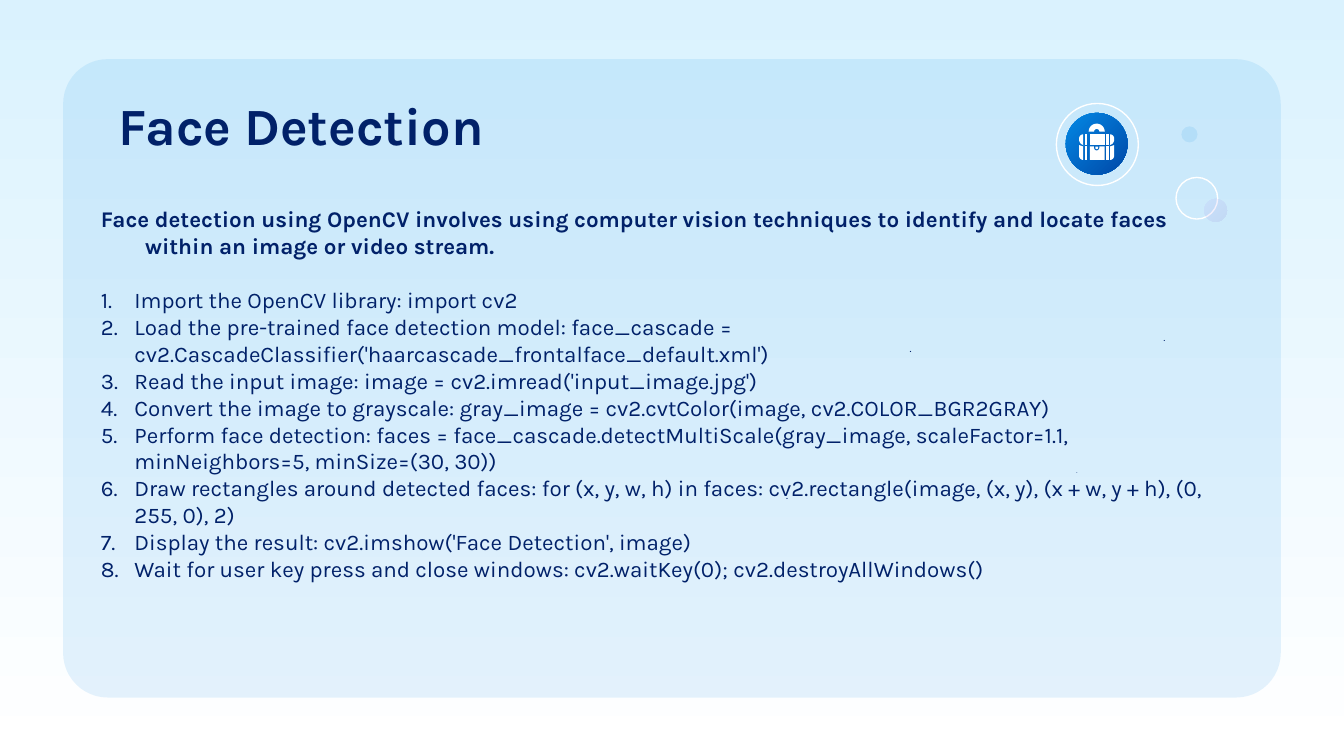
from math import cos, pi, sin

from lxml import etree
from pptx import Presentation, util as u
from pptx.dml import color
from pptx.enum import shapes, text
from pptx.oxml import ns

NAVY, BLUE, WHITE = "012169", "0388E5", "FFFFFF"
MID = 8.16
STEPS = [
    "Import the OpenCV library: import cv2",
    "Load the pre-trained face detection model: face_cascade = cv2.CascadeClassifier('haarcascade_frontalface_default.xml')",
    "Read the input image: image = cv2.imread('input_image.jpg')",
    "Convert the image to grayscale: gray_image = cv2.cvtColor(image, cv2.COLOR_BGR2GRAY)",
    "Perform face detection: faces = face_cascade.detectMultiScale(gray_image, scaleFactor=1.1, minNeighbors=5, minSize=(30, 30))",
    "Draw rectangles around detected faces: for (x, y, w, h) in faces: cv2.rectangle(image, (x, y), (x + w, y + h), (0, 255, 0), 2)",
    "Display the result: cv2.imshow('Face Detection', image)",
    "Wait for user key press and close windows: cv2.waitKey(0); cv2.destroyAllWindows()",
]
DOTS = [(7.91, 3.45, 0.48, 0.17, 3, 0, True), (6.5, 2.44, 2.72, 1.59, 6, 0.17, False),
        (5.58, 3.53, 0.78, 0.49, 6, 0.17, False), (8.39, 2.5, 0.83, 0.1, 4, 0.17, True)]


def rgb(code):
    return color.RGBColor.from_string(code)


def node(parent, tag, **attrs):
    return etree.SubElement(parent, ns.qn(tag), **attrs)


def write(para, words, size=12, bold=False, left=0, hang=0, mark="a:buNone", after=0):
    run = para.add_run()
    run.text = words
    font = run.font
    font.name, font.size, font.bold = "Karla", u.Pt(size), bold
    font.color.rgb = rgb(NAVY)
    para.alignment = text.PP_ALIGN.LEFT
    para.space_before, para.space_after = u.Pt(0), u.Pt(after)
    props = para._p.get_or_add_pPr()
    props.set("marL", str(u.Inches(left)))
    props.set("indent", str(u.Inches(hang)))
    if mark == "a:buAutoNum":
        node(props, "a:buFontTx")
        node(props, mark, type="arabicPeriod")
    else:
        node(props, mark)


def arc(x, y, rad, start, end, count=12):
    turns = [start + (end - start) * i / count for i in range(count + 1)]
    return [(x + rad * cos(t), y + rad * sin(t)) for t in turns]


def rect(x, y, w, h):
    return [(x, y), (x + w, y), (x + w, y + h), (x, y + h)]


class Deck:
    def __init__(self, wide, high):
        self.prs = Presentation()
        self.prs.slide_width, self.prs.slide_height = u.Inches(wide), u.Inches(high)
        self.slide = self.prs.slides.add_slide(self.prs.slide_layouts[1])
        self.blend(self.slide.background.fill, (WHITE, "DAF2FE"), 90)

    def blend(self, fill, codes, angle):
        fill.gradient()
        fill.gradient_angle = angle
        for stop, code in zip(fill.gradient_stops, codes):
            stop.color.rgb = rgb(code)

    def fade(self, shape, share):
        for tone in shape.element.spPr.iter(ns.qn("a:srgbClr")):
            node(tone, "a:alpha", val=str(share * 1000))

    def style(self, shape, fill=None, line=None, alpha=None):
        shape.shadow.inherit = False
        if isinstance(fill, tuple):
            self.blend(shape.fill, fill, 315)
        elif fill:
            shape.fill.solid()
            shape.fill.fore_color.rgb = rgb(fill)
        else:
            shape.fill.background()
        if alpha:
            self.fade(shape, alpha)
        if line:
            shape.line.color.rgb = rgb(line)
            shape.line.width = u.Pt(0.75)
        else:
            shape.line.fill.background()

    def card(self, x, y, w, h, **look):
        kind = shapes.MSO_SHAPE.ROUNDED_RECTANGLE
        shape = self.slide.shapes.add_shape(kind, *map(u.Inches, (x, y, w, h)))
        shape.adjustments[0] = 0.07
        self.style(shape, **look)
        self.slide.shapes.element.insert(2, shape.element)

    def disc(self, x, y, size, **look):
        box = map(u.Inches, (x, y, size, size))
        self.style(self.slide.shapes.add_shape(shapes.MSO_SHAPE.OVAL, *box), **look)

    def patch(self, points):
        dots = [(u.Inches(x), u.Inches(y)) for x, y in points]
        path = self.slide.shapes.build_freeform(*dots[0])
        path.add_line_segments(dots[1:])
        self.style(path.convert_to_shape(), fill=WHITE)

    def frame(self, shape, x, y, w, h):
        shape.left, shape.top, shape.width, shape.height = map(u.Inches, (x, y, w, h))
        body = shape.text_frame
        body.word_wrap = True
        body.auto_size = text.MSO_AUTO_SIZE.NONE
        body.vertical_anchor = text.MSO_ANCHOR.TOP
        body.margin_left = body.margin_right = u.Inches(0.1)
        body.margin_top = body.margin_bottom = u.Inches(0.1)
        return body

    def title(self, words, *box):
        body = self.frame(self.slide.shapes.title, *box)
        write(body.paragraphs[0], words, size=28, bold=True)

    def list(self, lead, items, *box):
        body = self.frame(self.slide.placeholders[1], *box)
        write(body.paragraphs[0], lead, bold=True, left=0.5, hang=-0.33, after=14.4)
        for item in items:
            write(body.add_paragraph(), item, left=0.42, hang=-0.25, mark="a:buAutoNum")

    def dot(self, x, y, w, h, size, left, bold):
        body = self.frame(self.slide.shapes.add_textbox(0, 0, 0, 0), x, y, w, h)
        if bold:
            body.vertical_anchor = text.MSO_ANCHOR.BOTTOM
        write(body.paragraphs[0], ".", size=size, bold=bold, left=left)

    def case(self):
        for side in (-1, 1):
            upper = arc(0.1, 1.03, 0.03, -pi / 2, 0) + arc(0.09, 1.04, 0.04, 0, pi / 2)
            halves = [
                rect(0.07, 1, 0.02, 0.08),
                rect(0.07, 1.09, 0.02, 0.1),
                [(0.1, 1)] + upper + [(0.1, 1.08)],
                [(0.1, 1.09), (0.13, 1.08)] + arc(0.1, 1.16, 0.03, 0, pi / 2) + [(0.1, 1.19)],
            ]
            for half in halves:
                self.patch([(MID + side * x, y) for x, y in half])
        left, right = MID - 0.05, MID + 0.06
        self.patch(rect(left, 1, 0.11, 0.08))
        self.patch(arc(MID, 1.1, 0.01, 0, pi) + [(MID - 0.01, 1.09), (MID + 0.01, 1.09)])
        notch = [(MID + 0.02, 1.09)] + arc(MID, 1.1, 0.02, 0, pi) + [(MID - 0.02, 1.09)]
        self.patch(notch + [(left, 1.09), (left, 1.19), (right, 1.19), (right, 1.09)])
        self.patch(arc(MID, 0.98, 0.06, pi, 2 * pi) + arc(MID, 0.98, 0.02, 2 * pi, pi))


def main():
    deck = Deck(10, 10 * 9 / 16)
    deck.card(0.47, 0.44, 9.06, 4.75, fill=BLUE, alpha=10)
    deck.title("Face Detection", 0.78, 0.59, 8.44, 0.73)
    lead = ("Face detection using OpenCV involves using computer vision techniques "
            "to identify and locate faces within an image or video stream.")
    deck.list(lead, STEPS, 0.48, 1.43, 8.79, 1.59)
    deck.disc(7.86, 0.77, 0.61, line=WHITE)
    deck.disc(7.93, 0.84, 0.46, fill=(BLUE, "0048A7"))
    deck.case()
    deck.disc(8.75, 1.32, 0.31, line=WHITE)
    deck.disc(8.96, 1.48, 0.17, fill=("AD8DFF", "6746B9"), alpha=10)
    deck.disc(8.79, 0.94, 0.12, fill=BLUE, alpha=10)
    for spot in DOTS:
        deck.dot(*spot)
    deck.prs.save("out.pptx")


if __name__ == "__main__":
    main()
